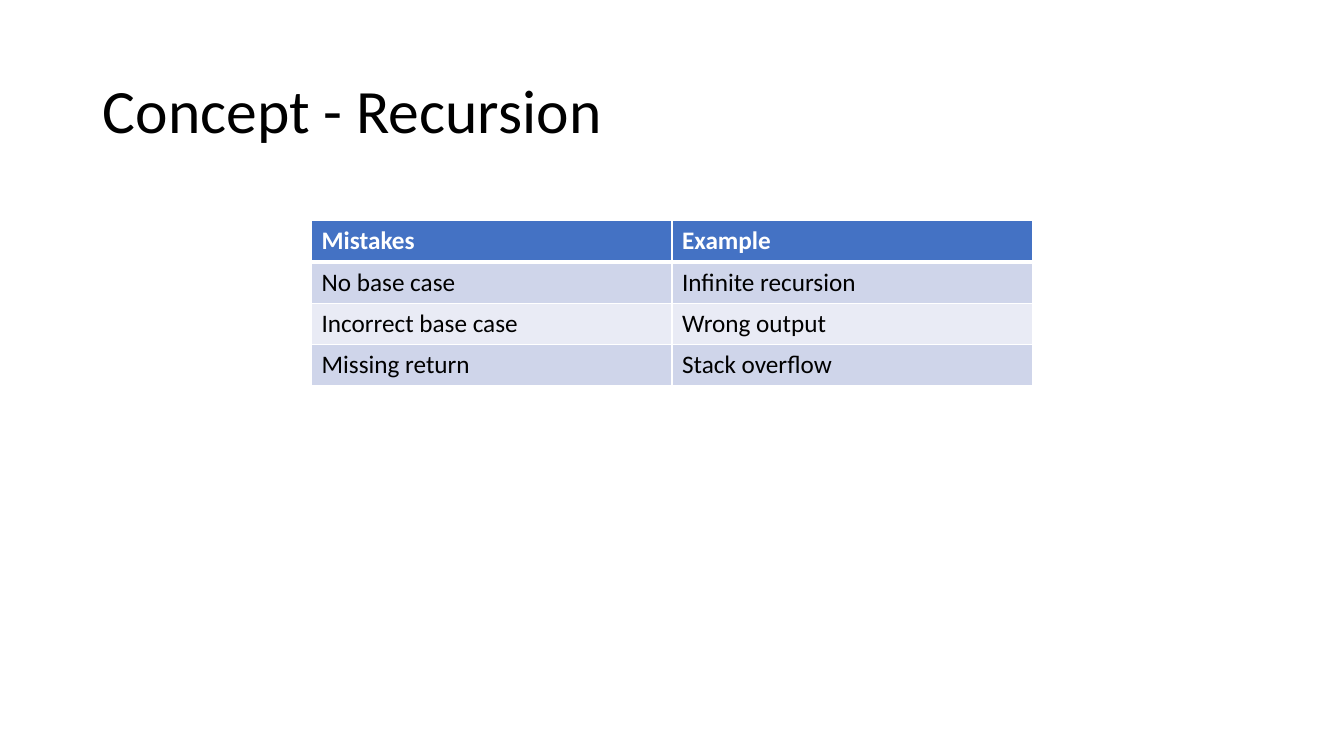
import pptx
import pptx.dml.color
import pptx.enum.text
import pptx.oxml
import pptx.oxml.ns
import pptx.util
from pptx.util import Inches

WHITE, BLACK, BLUE = "FFFFFF", "000000", "4472C4"
BANDS = ["CFD5EA", "E9EBF5"]
MISTAKES = [
    ("Mistakes", "Example"),
    ("No base case", "Infinite recursion"),
    ("Incorrect base case", "Wrong output"),
    ("Missing return", "Stack overflow"),
]


def color(code):
    return pptx.dml.color.RGBColor.from_string(code)


class Deck:
    """Holds the text style and the current slide."""

    def __init__(self, face):
        self.face = face
        self.show = pptx.Presentation()
        self.show.slide_width = Inches(13.33)
        self.show.slide_height = Inches(7.5)
        self.slide = self.show.slides.add_slide(self.show.slide_layouts[5])

    def style(self, para, size, code, bold=False):
        form = {"name": self.face, "size": pptx.util.Pt(size), "bold": bold}
        for key, value in form.items():
            setattr(para.font, key, value)
        para.font.color.rgb = color(code)

    def title(self, text, left, top, width, height):
        shape = self.slide.shapes.title
        place = {"left": left, "top": top, "width": width, "height": height}
        for key, value in place.items():
            setattr(shape, key, Inches(value))
        frame = shape.text_frame
        frame.text = text
        frame.word_wrap = True
        frame.auto_size = pptx.enum.text.MSO_AUTO_SIZE.NONE
        frame.vertical_anchor = pptx.enum.text.MSO_ANCHOR.MIDDLE
        para = frame.paragraphs[0]
        para.alignment = pptx.enum.text.PP_ALIGN.LEFT
        para.line_spacing = 0.9
        self.style(para, 44, BLACK)

    def edge(self, cell, side, points):
        """Draw one white border; side is L, R, T or B."""
        line = pptx.oxml.parse_xml(
            f'<a:ln{side} {pptx.oxml.ns.nsdecls("a")} w="{pptx.util.Pt(points)}">'
            f'<a:solidFill><a:srgbClr val="{WHITE}"/></a:solidFill></a:ln{side}>'
        )
        cell._tc.get_or_add_tcPr().append(line)

    def table(self, rows, left, top, width, height):
        box = [Inches(n) for n in (left, top, width, height)]
        grid = self.slide.shapes.add_table(len(rows), len(rows[0]), *box).table
        for r, row in enumerate(rows):
            head = r == 0
            sides = {"L": 1, "R": 1, "T": 3 if r == 1 else 1, "B": 3 if head else 1}
            for c, text in enumerate(row):
                cell = grid.cell(r, c)
                cell.text = text
                for side, points in sides.items():
                    self.edge(cell, side, points)
                cell.fill.solid()
                cell.fill.fore_color.rgb = color(BLUE if head else BANDS[(r - 1) % 2])
                para = cell.text_frame.paragraphs[0]
                self.style(para, 18, WHITE if head else BLACK, head)


def main():
    deck = Deck("Calibri")
    deck.title("Concept - Recursion", 0.92, 0.4, 11.5, 1.45)
    deck.table(MISTAKES, 3.09, 2.19, 7.15, 1.64)
    deck.show.save("out.pptx")


if __name__ == "__main__":
    main()
